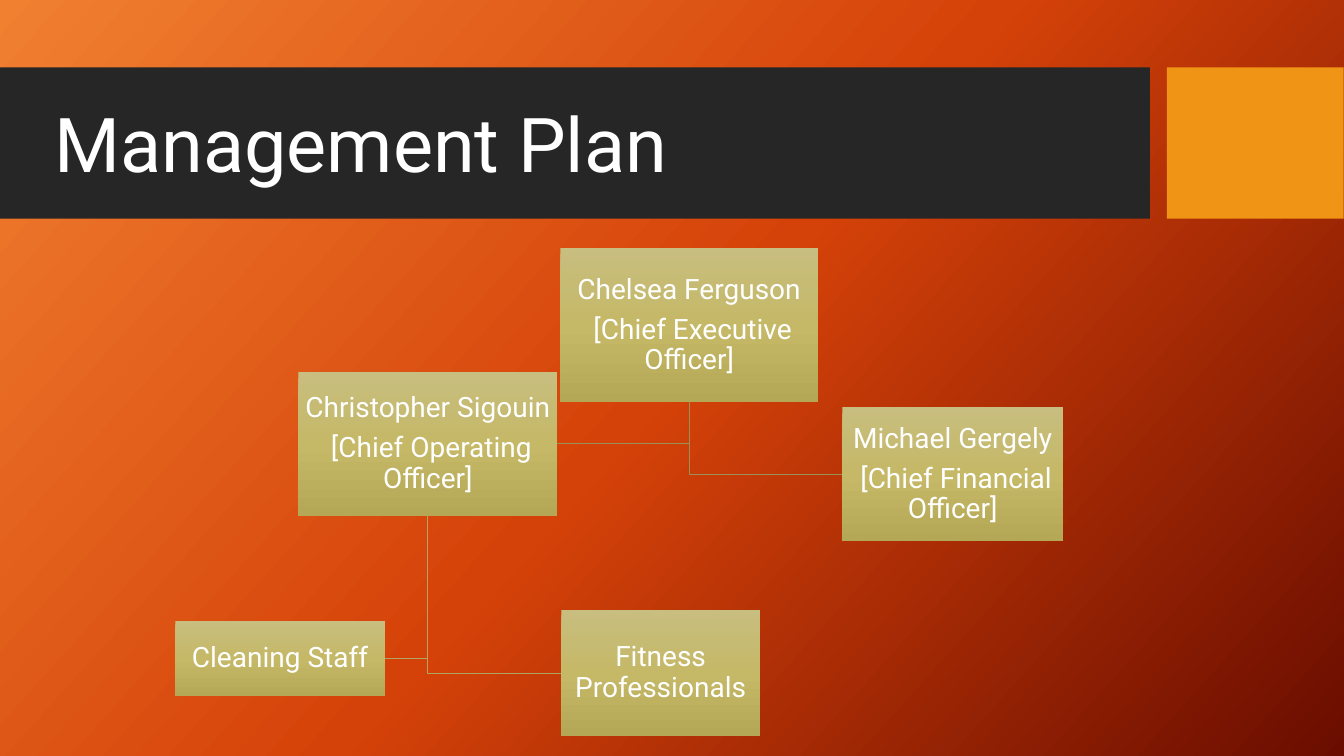
from copy import deepcopy

from pptx import Presentation
from pptx.dml.color import RGBColor
from pptx.enum.shapes import MSO_SHAPE
from pptx.enum.text import MSO_ANCHOR, MSO_AUTO_SIZE, PP_ALIGN
from pptx.oxml.ns import qn
from pptx.util import Cm, Pt

RECTANGLE = MSO_SHAPE.RECTANGLE
TOP, MIDDLE = MSO_ANCHOR.TOP, MSO_ANCHOR.MIDDLE
LEFT, CENTER = PP_ALIGN.LEFT, PP_ALIGN.CENTER
NO_FIT = MSO_AUTO_SIZE.NONE
TITLE_ONLY = 5

BANNER = [((0, 1.7, 28.98, 3.81), "262626"), ((29.41, 1.7, 4.45, 3.81), "F09415")]
ROLES = {
    "ceo": ((14.12, 6.25, 6.5, 3.89), ["Chelsea Ferguson", " [Chief Executive Officer]"]),
    "coo": ((7.52, 9.37, 6.53, 3.63), ["Christopher Sigouin", " [Chief Operating Officer]"]),
    "fitness": ((14.15, 15.37, 5, 3.18), ["Fitness Professionals"]),
    "cleaning": ((4.42, 15.65, 5.28, 1.9), ["Cleaning Staff"]),
    "cfo": ((21.23, 10.26, 5.56, 3.38), ["Michael Gergely", " [Chief Financial Officer]"]),
}
REPORTS = [
    ("ceo", "cfo", "9B9156"),
    ("coo", "cleaning", "AFA461"),
    ("coo", "fitness", "AFA461"),
    ("ceo", "coo", "9B9156"),
]


def rgb(code):
    return RGBColor.from_string(code)


def apply(target, values):
    for name, value in values.items():
        setattr(target, name, value)


class OrgSlide:
    """Holds the chart style and the slide being built."""

    font = {"name": "Roboto"}
    text_color = "FFFFFF"
    backdrop = ["F18031", "D54209", "6A0D00"]
    box_shades = ["C8BE7F", "C5B867", "B4A756"]
    title_frame = {"vertical_anchor": TOP, "margin_top": 0, "margin_bottom": 0}
    box_frame = {"vertical_anchor": MIDDLE} | dict.fromkeys(
        ("margin_left", "margin_top", "margin_right", "margin_bottom"), Cm(0.03))

    def __init__(self, deck):
        self.slide = deck.slides.add_slide(deck.slide_layouts[TITLE_ONLY])
        self.shapes = self.slide.shapes
        self.gradient(self.slide.background.fill, self.slide.element, self.backdrop, 42)

    def gradient(self, fill, element, colors, clockwise):
        fill.gradient()
        fill.gradient_angle = 360 - clockwise
        stop_list = next(element.iter(qn("a:gsLst")))
        stop_list.insert(1, deepcopy(stop_list[0]))
        for index, (stop, color) in enumerate(zip(fill.gradient_stops, colors)):
            stop.position = index / (len(colors) - 1)
            stop.color.rgb = rgb(color)

    def set_text(self, frame, lines, size, align, frame_format):
        apply(frame, {"word_wrap": True, "auto_size": NO_FIT} | frame_format)
        frame.text = "\n".join(lines)
        for paragraph in frame.paragraphs:
            apply(paragraph, {"alignment": align, "line_spacing": 0.9,
                              "space_before": Pt(0), "space_after": Pt(7)})
            apply(paragraph.font, self.font | {"size": Pt(size)})
            paragraph.font.color.rgb = rgb(self.text_color)

    def title(self, text, place):
        title = self.shapes.title
        apply(title, dict(zip(("left", "top", "width", "height"), map(Cm, place))))
        self.set_text(title.text_frame, [text], 54, LEFT, self.title_frame)
        self.shapes.element.append(title.element)

    def block(self, place):
        block = self.shapes.add_shape(RECTANGLE, *map(Cm, place))
        block.shadow.inherit = False
        block.line.fill.background()
        return block

    def band(self, place, color):
        band = self.block(place)
        band.fill.solid()
        band.fill.fore_color.rgb = rgb(color)

    def role(self, place, lines):
        role = self.block(place)
        self.gradient(role.fill, role.element, self.box_shades, 90)
        self.set_text(role.text_frame, lines, 20, CENTER, self.box_frame)

    def report_line(self, manager, report, color):
        left, top, width, height = manager
        stem = left + width / 2
        side = report[0] if report[0] > stem else report[0] + report[2]
        level = report[1] + report[3] / 2
        outline = self.shapes.build_freeform(Cm(stem), Cm(top + height))
        outline.add_line_segments([(Cm(stem), Cm(level)), (Cm(side), Cm(level))], close=False)
        elbow = outline.convert_to_shape()
        elbow.shadow.inherit = False
        elbow.fill.background()
        elbow.line.width = Pt(0.75)
        elbow.line.color.rgb = rgb(color)


def main():
    deck = Presentation()
    apply(deck, {"slide_width": Cm(33.87), "slide_height": Cm(19.05)})
    chart = OrgSlide(deck)
    for place, color in BANNER:
        chart.band(place, color)
    chart.title("Management Plan", (1.12, 2.69, 26.7, 3))
    for manager, report, color in REPORTS:
        chart.report_line(ROLES[manager][0], ROLES[report][0], color)
    for place, lines in ROLES.values():
        chart.role(place, lines)
    deck.save("out.pptx")


if __name__ == "__main__":
    main()
